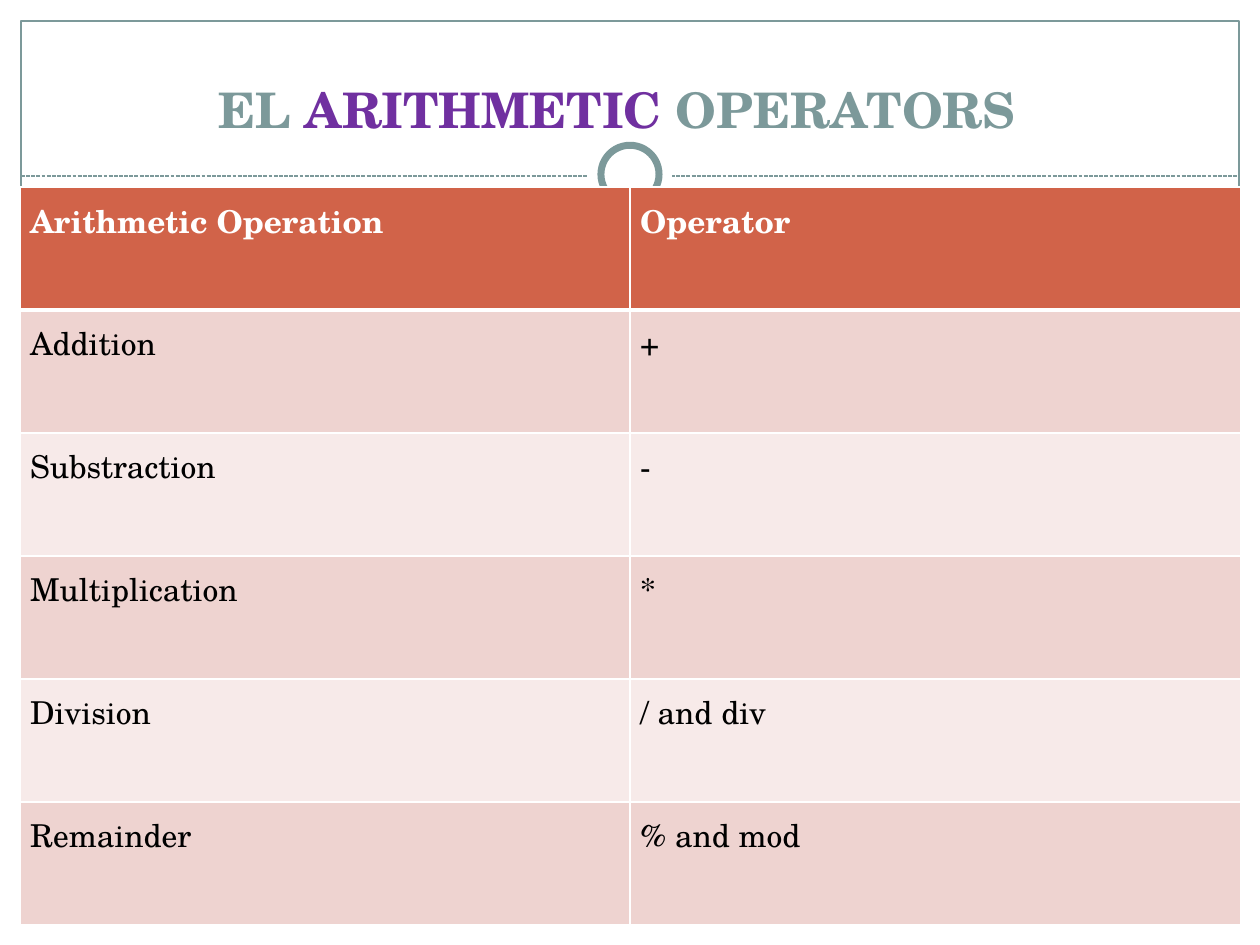
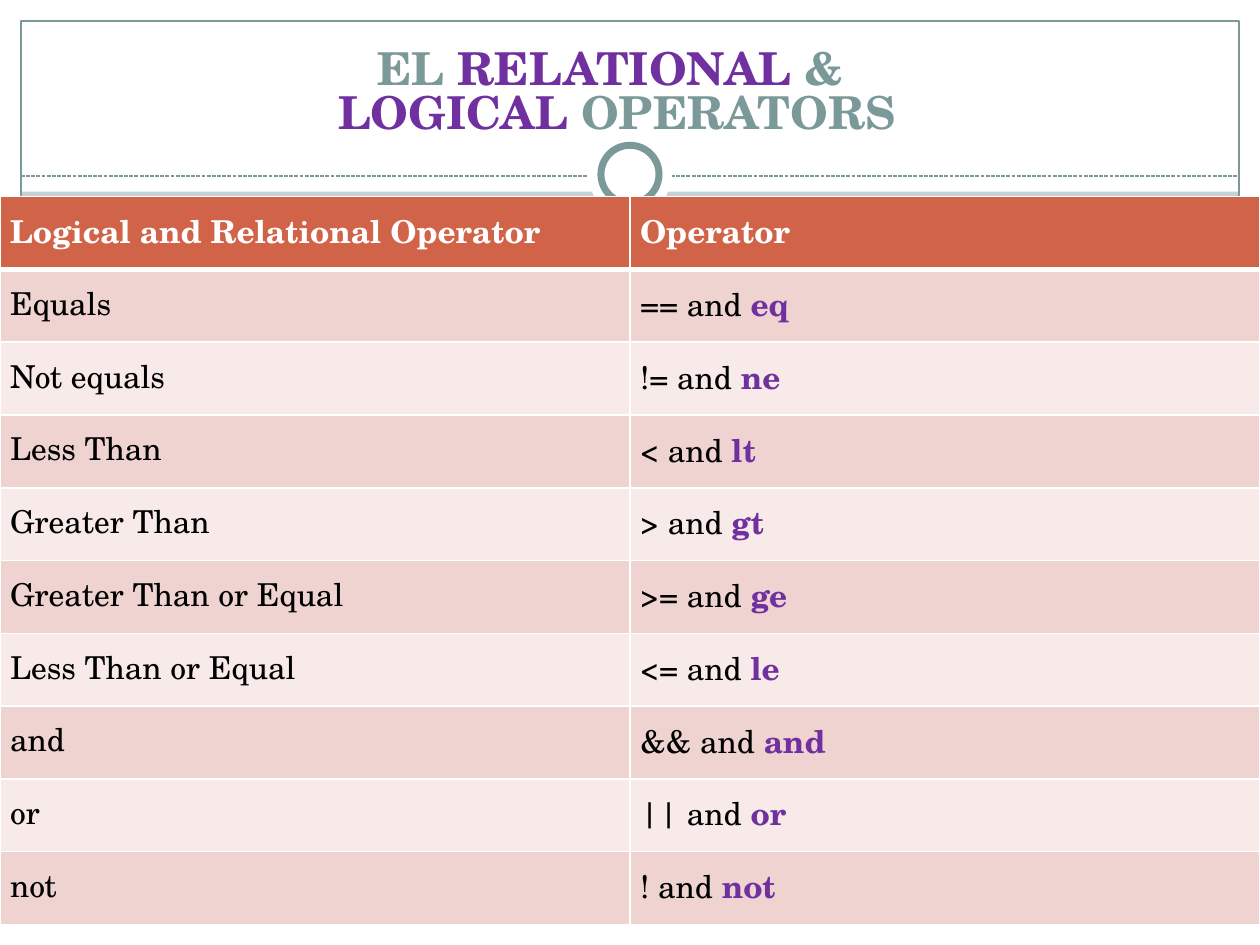
from dataclasses import dataclass
from typing import NamedTuple

from lxml.etree import SubElement
from pptx import Presentation
from pptx.dml.color import RGBColor
from pptx.enum.dml import MSO_LINE_DASH_STYLE as Dash
from pptx.enum.shapes import MSO_CONNECTOR as Connector, MSO_SHAPE as Preset
from pptx.enum.text import MSO_ANCHOR as Anchor, PP_ALIGN as Align
from pptx.oxml.ns import qn
from pptx.util import Pt

FONT = "TeX Gyre Schola"
WHITE, BLACK = "FFFFFF", "000000"
TEAL, PURPLE, BACKGROUND = "7C999A", "7030A0", "C5D1D7"
FOOTER, HEADER = "8CADAE", "D16349"
ROW_BANDS = ("EED3D0", "F7EAE9")
CELL_INSET = 5.76
DEFAULT_STYLE = {"size": Pt(18), "name": FONT, "bold": False}


class Span(NamedTuple):
    text: str
    color: str = BLACK
    bold: bool = False


class Frame(NamedTuple):
    left: float
    top: float
    width: float
    height: float

    def lengths(self) -> list:
        return [Pt(value) for value in self]


@dataclass
class Decoration:
    preset: Preset
    frame: Frame
    fill: str | None = None
    line: str | None = None
    weight: float = 0.75


@dataclass
class OperatorPage:
    title: list[list[Span]]
    title_size: float
    title_spacing: float
    headings: tuple[str, str]
    rows: list[tuple[list[Span], list[Span]]]
    table_frame: Frame
    title_on_top: bool


TITLE_FRAME = Frame(16.5, 22.5, 672, 60)
DECORATIONS = [
    Decoration(Preset.RECTANGLE, Frame(0, 528, 720, 12), WHITE),
    Decoration(Preset.RECTANGLE, Frame(0, 0, 720, 109.5), WHITE),
    Decoration(Preset.RECTANGLE, Frame(0, 0, 12, 540), WHITE),
    Decoration(Preset.RECTANGLE, Frame(708, 0, 12, 540), WHITE),
    Decoration(Preset.RECTANGLE, Frame(11.75, 503.5, 695.5, 24.5), FOOTER),
    Decoration(Preset.RECTANGLE, Frame(12, 12, 696, 516), line=TEAL),
]
RING = [
    Decoration(Preset.OVAL, Frame(336, 75.6, 48, 48), WHITE),
    Decoration(Preset.OVAL, Frame(343.4, 83, 33.2, 33.2), WHITE, TEAL, 4),
]


def plain(text: str) -> list[Span]:
    return [Span(text)]


def symbol_and_word(symbol: str, word: str) -> list[Span]:
    return [Span(f"{symbol} and "), Span(word, PURPLE, True)]


def heading(text: str, color: str = TEAL) -> Span:
    return Span(text, color, True)


PAGES = [
    OperatorPage(
        title=[[heading("EL "), heading("ARITHMETIC", PURPLE), heading(" OPERATORS")]],
        title_size=28,
        title_spacing=1.0,
        headings=("Arithmetic Operation", "Operator"),
        rows=[(plain(name), plain(symbol)) for name, symbol in [
            ("Addition", "+"),
            ("Substraction", "-"),
            ("Multiplication", "*"),
            ("Division", "/ and div"),
            ("Remainder", "% and mod"),
        ]],
        table_frame=Frame(11.4, 106.8, 697.4, 421.8),
        title_on_top=True,
    ),
    OperatorPage(
        title=[
            [heading("EL "), heading("RELATIONAL", PURPLE), heading(" & ")],
            [heading("LOGICAL ", PURPLE), heading("OPERATORS")],
        ],
        title_size=25.9,
        title_spacing=0.8,
        headings=("Logical and Relational Operator", "Operator"),
        rows=[(plain(name), symbol_and_word(symbol, word)) for name, symbol, word in [
            ("Equals", "==", "eq"),
            ("Not equals", "!=", "ne"),
            ("Less Than", "<", "lt"),
            ("Greater Than", ">", "gt"),
            ("Greater Than or Equal", ">=", "ge"),
            ("Less Than or Equal", "<=", "le"),
            ("and", "&&", "and"),
            ("or", "||", "or"),
            ("not", "!", "not"),
        ]],
        table_frame=Frame(0, 112.4, 720, 416),
        title_on_top=False,
    ),
]


def rgb(color: str) -> RGBColor:
    return RGBColor.from_string(color)


def paint(fill, color: str | None) -> None:
    if color is None:
        fill.background()
    else:
        fill.solid()
        fill.fore_color.rgb = rgb(color)


def write_spans(para, spans: list[Span], size: float = 18) -> None:
    for span in spans:
        run = para.add_run()
        run.text = span.text
        style = DEFAULT_STYLE | {"size": Pt(size), "bold": span.bold}
        for name, value in style.items():
            setattr(run.font, name, value)
        run.font.color.rgb = rgb(span.color)


def draw_decoration(page, item: Decoration) -> None:
    shape = page.shapes.add_shape(item.preset, *item.frame.lengths())
    shape.shadow.inherit = False
    paint(shape.fill, item.fill)
    paint(shape.line.fill, item.line)
    if item.line:
        shape.line.width = Pt(item.weight)


def draw_divider(page) -> None:
    divider = page.shapes.add_connector(
        Connector.STRAIGHT, Pt(12), Pt(100.6), Pt(708), Pt(100.6))
    divider.line.color.rgb = rgb(TEAL)
    divider.line.width = Pt(0.75)
    divider.line.dash_style = Dash.SQUARE_DOT
    SubElement(divider.element.spPr, qn("a:effectLst"))


def draw_background(page) -> None:
    paint(page.background.fill, BACKGROUND)
    for item in DECORATIONS:
        draw_decoration(page, item)
    draw_divider(page)
    for item in RING:
        draw_decoration(page, item)


def draw_title(page, content: OperatorPage) -> None:
    box = page.shapes.add_textbox(*TITLE_FRAME.lengths())
    frame = box.text_frame
    frame.word_wrap = True
    frame.vertical_anchor = Anchor.BOTTOM
    for index, spans in enumerate(content.title):
        para = frame.add_paragraph() if index else frame.paragraphs[0]
        para.alignment = Align.CENTER
        para.line_spacing = content.title_spacing
        write_spans(para, spans, content.title_size)


def set_borders(cell, bottom: float) -> None:
    """Put white borders before the cell's fill, as the schema requires."""
    properties = cell._tc.get_or_add_tcPr()
    widths = {"a:lnL": 1, "a:lnR": 1, "a:lnT": 1, "a:lnB": bottom}
    for position, (tag, width) in enumerate(widths.items()):
        line = SubElement(properties, qn(tag), w=str(Pt(width)))
        fill = SubElement(line, qn("a:solidFill"))
        SubElement(fill, qn("a:srgbClr"), val=WHITE)
        properties.insert(position, line)


def fill_cell(cell, spans: list[Span], color: str, bottom: float) -> None:
    for side in ("left", "right", "top", "bottom"):
        setattr(cell, f"margin_{side}", Pt(CELL_INSET))
    paint(cell.fill, color)
    set_borders(cell, bottom)
    write_spans(cell.text_frame.paragraphs[0], spans)


def draw_table(page, content: OperatorPage) -> None:
    headings = [[Span(text, WHITE, True)] for text in content.headings]
    rows = [headings, *content.rows]
    table = page.shapes.add_table(
        len(rows), len(headings), *content.table_frame.lengths()).table
    for row_index, row in enumerate(rows):
        is_header = row_index == 0
        color = HEADER if is_header else ROW_BANDS[(row_index - 1) % 2]
        # The thick rule lies between the header and the first body row.
        bottom = 3 if is_header else 1
        for column, spans in enumerate(row):
            cell = table.cell(row_index, column)
            fill_cell(cell, spans, color, bottom)
            if row_index == 1:
                cell._tc.tcPr.find(qn("a:lnT")).set("w", str(Pt(3)))


def main() -> None:
    deck = Presentation()
    deck.slide_width, deck.slide_height = Pt(720), Pt(540)
    blank = deck.slide_layouts[6]
    for content in PAGES:
        page = deck.slides.add_slide(blank)
        draw_background(page)
        steps = [draw_title, draw_table]
        if content.title_on_top:
            steps.reverse()
        for draw in steps:
            draw(page, content)
    deck.save("out.pptx")


if __name__ == "__main__":
    main()
